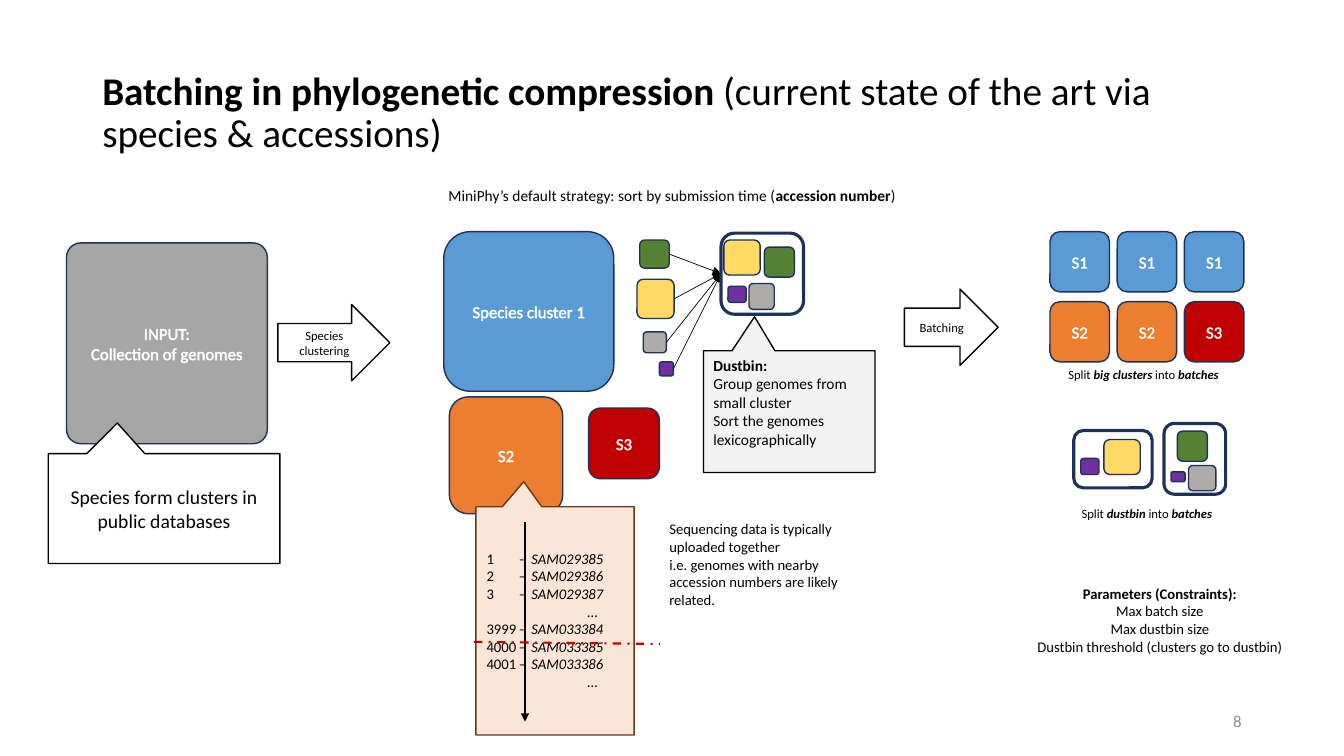
"""Build the slide on batching in phylogenetic compression."""
import lxml.etree
import pptx
import pptx.dml.color
import pptx.enum.dml
import pptx.enum.shapes
import pptx.enum.text
import pptx.oxml.ns
import pptx.util

Pt = pptx.util.Pt
qn = pptx.oxml.ns.qn
KIND = pptx.enum.shapes.MSO_SHAPE
ALIGN = pptx.enum.text.PP_ALIGN
ANCHOR = pptx.enum.text.MSO_ANCHOR
DASH = pptx.enum.dml.MSO_LINE.DASH_DOT

COLOURS = {
    "black": "000000", "white": "FFFFFF", "navy": "1E3256", "silver": "A6A6A6",
    "blue": "5B9BD5", "orange": "ED7D31", "red": "C00000", "green": "548235",
    "yellow": "FFD966", "grey": "AFABAB", "purple": "7030A0", "peach": "FBE5D6",
    "brown": "683715", "pale": "F2F2F2", "number": "8C8C8C",
}

ACCESSIONS = [
    [(1, "SAM029385"), (2, "SAM029386"), (3, "SAM029387")],
    [(3999, "SAM033384"), (4000, "SAM033385"), (4001, "SAM033386")],
]
ROW_TABS, GAP_TABS = (23, 32), (72,)
ACCESSION_BOX = (340.5, 389, 147.5, 108.5)

TEXTS = [
    ((66, 29, 828, 104.5),
     [[("Batching in phylogenetic compression ", "b"),
       ("(current state of the art via species & accessions)", "")]],
     {"size": 28, "anchor": "MIDDLE", "spacing": 0.9}),
    ((267, 131, 426, 25),
     [[("MiniPhy’s default strategy: sort by submission time (", ""),
       ("accession number", "b"), (")", "")]],
     {"size": 11, "align": "CENTER", "spacing": 0.9}),
    ((756, 253.5, 163.5, 29),
     [[("Split ", ""), ("big clusters", "bi"), (" into ", ""), ("batches", "bi")]],
     {"size": 9, "anchor": "MIDDLE", "spacing": 0.9}),
    ((765.5, 353, 136, 29),
     [[("Split ", ""), ("dustbin ", "bi"), ("into ", ""), ("batches", "bi")]],
     {"size": 9, "anchor": "MIDDLE", "spacing": 0.9}),
    ((722, 414, 213, 60.5),
     [[("Parameters (Constraints):", "b")], [("Max batch size", "")],
      [("Max dustbin size", "")], [("Dustbin threshold (clusters go to dustbin)", "")]],
     {"size": 10.5, "align": "CENTER"}),
    ((471, 368, 147.5, 83.5),
     [[("Sequencing data is typically uploaded together", "")],
      [("i.e. genomes with nearby accession numbers are likely related.", "")]],
     {"size": 10.5}),
    ((678, 500.5, 216, 29), [[("8", "")]],
     {"size": 12, "align": "RIGHT", "anchor": "MIDDLE", "colour": "number"}),
]

CLUSTERS = [
    ((47.5, 173.5, 143.5, 143.5), "silver", ["INPUT:", "Collection of genomes"], (0.072,)),
    ((317, 165.5, 121.5, 114), "blue", ["Species cluster 1"], ()),
    ((321, 283.5, 81, 83.5), "orange", ["S2"], ()),
    ((420.5, 291.5, 50.5, 50.5), "red", ["S3"], ()),
]
BATCHES = [[("S1", "blue")] * 3, [("S2", "orange")] * 2 + [("S3", "red")]]
BATCH_ORIGIN, BATCH_PITCH, BATCH_SIZE = (750, 165.5), (48, 50), (42.5, 43)

ARROWS = [((198.5, 217.5, 80, 54.5), "Species clustering"),
          ((646, 206.5, 67, 54.5), "Batching")]

SMALL_CLUSTERS = [
    ("green", (457, 171.5, 21, 20)), ("yellow", (455, 199.5, 26.5, 28)),
    ("grey", (459.5, 237, 16.5, 15)), ("purple", (471, 258.5, 10, 10)),
]
DUSTBINS = [
    ((515, 166.5, 59, 58),
     [("purple", (520, 204.5, 13, 11.5)), ("yellow", (517, 171.5, 26, 25)),
      ("green", (546, 176.5, 21.5, 21.5)), ("grey", (535, 202.5, 18, 18.5))]),
    ((831.5, 302.5, 44, 50.5),
     [("purple", (836.5, 337, 10, 7)), ("green", (841, 308, 21.5, 21.5)),
      ("grey", (849, 332.5, 19.5, 18))]),
    ((767, 307.5, 56, 41),
     [("purple", (772, 327.5, 13, 11.5)), ("yellow", (788.5, 314, 26, 25))]),
]

CALLOUTS = [
    ((340, 362, 113, 163), (-0.198, -0.61), "peach", "brown", [], {}),
    ((34.5, 324, 165.5, 78.5), (-0.202, -0.779), "white", "black",
     [[("Species form clusters in public databases", "")]],
     {"size": 14, "align": "CENTER", "anchor": "MIDDLE"}),
    ((502.5, 250.5, 122.5, 87), (-0.202, -0.779), "pale", "black",
     [[("Dustbin:", "b")], [("Group genomes from small cluster", "")],
      [("Sort the genomes lexicographically", "")]], {"size": 11}),
]
TIMELINE = (375, 373, 375, 515.5)
BATCH_CUT = (338.5, 458.5, 471.5, 460)


def rgb(name):
    """Return the named colour."""
    return pptx.dml.color.RGBColor.from_string(COLOURS[name])


def write(box, paragraphs, size=12, colour="black", align="LEFT", anchor="TOP",
          spacing=1.0, outlined=False, tabs=()):
    """Fill a box with paragraphs made of (text, style) spans."""
    frame = box.text_frame
    frame.word_wrap = True
    frame.vertical_anchor = ANCHOR[anchor]
    for index, spans in enumerate(paragraphs):
        para = frame.paragraphs[0] if index == 0 else frame.add_paragraph()
        for name, value in {"alignment": ALIGN[align], "line_spacing": spacing}.items():
            setattr(para, name, value)
        if tabs:
            stops = lxml.etree.SubElement(para._p.get_or_add_pPr(), qn("a:tabLst"))
            for stop in tabs[index]:
                lxml.etree.SubElement(stops, qn("a:tab"), pos=str(Pt(stop)), algn="l")
        for text, style in spans:
            span = para.add_run()
            span.text = text
            look = {"name": "Calibri", "size": Pt(size), "bold": "b" in style, "italic": "i" in style}
            for name, value in look.items():
                setattr(span.font, name, value)
            span.font.color.rgb = rgb(colour)
            if outlined:
                edge = lxml.etree.Element(qn("a:ln"), w=str(Pt(0.75)))
                fill = lxml.etree.SubElement(edge, qn("a:solidFill"))
                lxml.etree.SubElement(fill, qn("a:srgbClr"), val=COLOURS[colour])
                span._r.get_or_add_rPr().insert(0, edge)


def add_shape(page, kind, place, fill, line="navy", width=1, adjust=()):
    """Add a preset shape, unfilled when fill is None."""
    shape = page.shapes.add_shape(kind, *map(Pt, place))
    shape.shadow.inherit = False
    if fill:
        shape.fill.solid()
        shape.fill.fore_color.rgb = rgb(fill)
    else:
        shape.fill.background()
    shape.line.color.rgb = rgb(line)
    shape.line.width = Pt(width)
    for index, value in enumerate(adjust):
        shape.adjustments[index] = value
    return shape


def add_line(page, ends, colour="black", width=1, dash=None, arrow=True):
    """Add a straight line with an optional arrowhead at its end."""
    line = page.shapes.add_connector(pptx.enum.shapes.MSO_CONNECTOR.STRAIGHT, *map(Pt, ends))
    line.line.color.rgb = rgb(colour)
    line.line.width = Pt(width)
    if dash:
        line.line.dash_style = dash
    properties = line._element.spPr
    if arrow:
        lxml.etree.SubElement(properties.find(qn("a:ln")), qn("a:tailEnd"), type="triangle")
    lxml.etree.SubElement(properties, qn("a:effectLst"))


def add_cluster(page, place, fill, lines, adjust=()):
    """Add a rounded box with a white outlined label."""
    box = add_shape(page, KIND.ROUNDED_RECTANGLE, place, fill, adjust=adjust)
    write(box, [[(line, "")] for line in lines], colour="white", align="CENTER",
          anchor="MIDDLE", outlined=True)


def add_text(page, place, paragraphs, **layout):
    """Add a text box."""
    write(page.shapes.add_textbox(*map(Pt, place)), paragraphs, **layout)


def main():
    """Draw the slide and save it."""
    deck = pptx.Presentation()
    deck.slide_width, deck.slide_height = Pt(960), Pt(540)
    page = deck.slides.add_slide(deck.slide_layouts[6])

    for place, fill, lines, adjust in CLUSTERS:
        add_cluster(page, place, fill, lines, adjust)
    for row, batches in enumerate(BATCHES):
        for column, (label, fill) in enumerate(batches):
            corner = [start + step * count for start, step, count
                      in zip(BATCH_ORIGIN, BATCH_PITCH, (column, row))]
            add_cluster(page, (*corner, *BATCH_SIZE), fill, [label])
    for place, label in ARROWS:
        arrow = add_shape(page, KIND.RIGHT_ARROW, place, "white", "black")
        write(arrow, [[(label, "")]], size=9, align="CENTER", anchor="MIDDLE")
    for place, adjust, fill, line, paragraphs, layout in CALLOUTS:
        callout = add_shape(page, KIND.RECTANGULAR_CALLOUT, place, fill, line, adjust=adjust)
        write(callout, paragraphs, **layout)

    bin_left, bin_top, _, bin_height = DUSTBINS[0][0]
    for fill, place in SMALL_CLUSTERS:
        add_shape(page, KIND.ROUNDED_RECTANGLE, place, fill)
        left, top, width, height = place
        ends = (left + width, top + height / 2, bin_left, bin_top + bin_height / 2)
        add_line(page, ends, width=0.5)
    for place, genomes in DUSTBINS:
        add_shape(page, KIND.ROUNDED_RECTANGLE, place, None, width=2.25)
        for fill, spot in genomes:
            add_shape(page, KIND.ROUNDED_RECTANGLE, spot, fill)

    rows, tabs = [], []
    for block in ACCESSIONS:
        rows += [[(f"{rank}\t–\t", ""), (code, "i")] for rank, code in block] + [[("\t…", "")]]
        tabs += [ROW_TABS] * len(block) + [GAP_TABS]
    add_text(page, ACCESSION_BOX, rows, size=10.5, tabs=tabs)
    add_line(page, TIMELINE)
    add_line(page, BATCH_CUT, "red", 1.5, DASH, arrow=False)
    for place, paragraphs, layout in TEXTS:
        add_text(page, place, paragraphs, **layout)
    deck.save("out.pptx")


if __name__ == "__main__":
    main()
